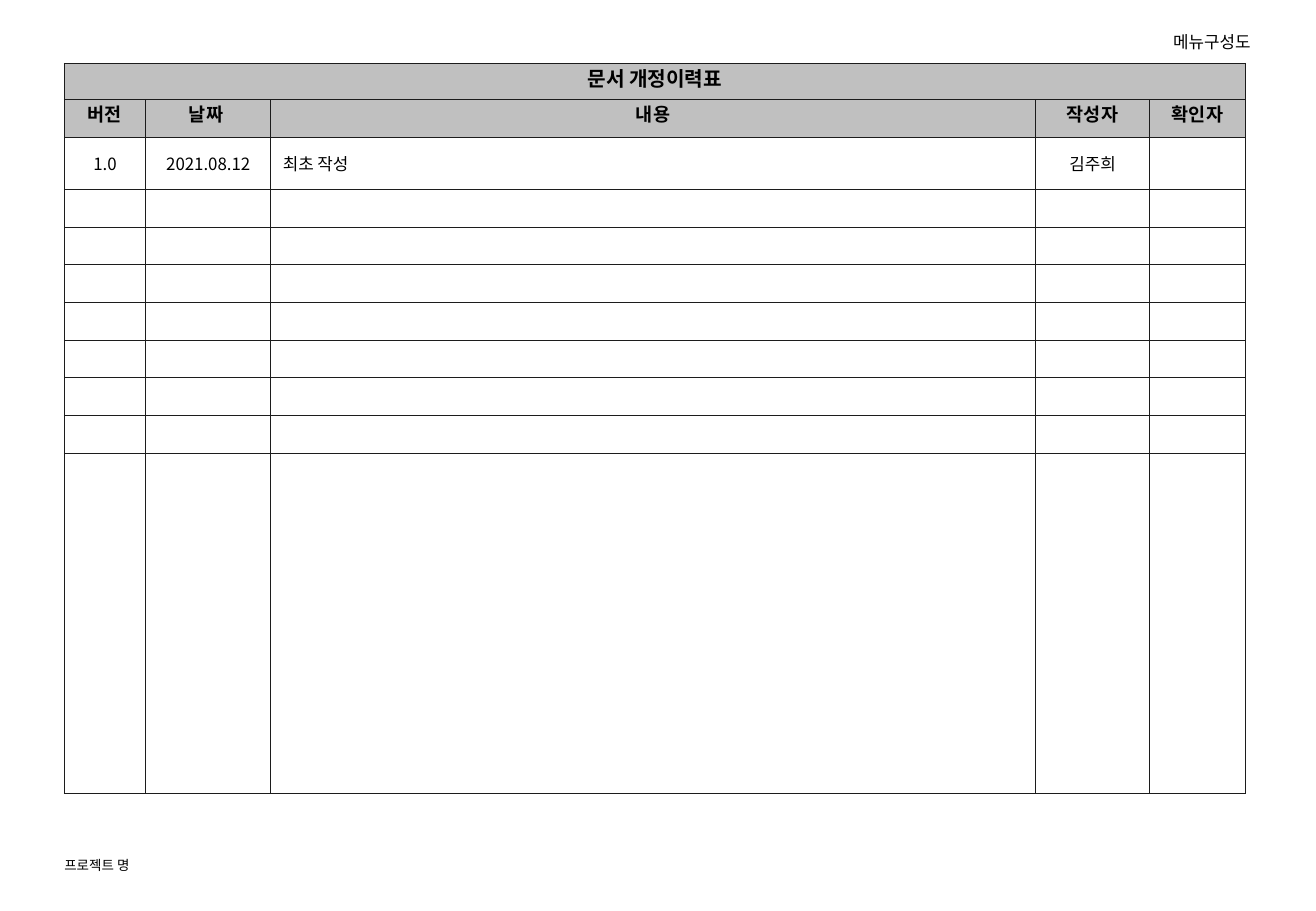
"""Build the document revision history page."""
from lxml.etree import SubElement
from pptx import Presentation
from pptx.dml.color import RGBColor
from pptx.enum.text import MSO_ANCHOR, PP_ALIGN
from pptx.oxml.ns import qn
from pptx.util import Inches, Pt

COLORS = {"text": "000000", "header": "C0C0C0", "border": "1C1C1C"}
FONT = "Noto Sans CJK KR"
LEFT, TOP = 0.53, 0.52
COLUMN_WIDTHS = [0.67, 1.03, 6.3, 0.94, 0.79]
ROW_HEIGHTS = [0.3, 0.31, 0.43] + [0.31] * 7 + [2.8]
CONTENT_COLUMN = 2
ROWS = [
    ["문서 개정이력표"],
    ["버전", "날짜 ", "내용", "작성자", "확인자"],
    ["1.0", "2021.08.12", "최초 작성", "김주희"],
]
ROW_STYLES = [(12, 3, True), (11, 2.8, True)] + [(10, 2.5, False)] * 9


def write(paragraph, text, size, align, bold=False):
    paragraph.alignment = align
    font = paragraph.font
    font.name, font.size, font.bold = FONT, Pt(size), bold
    font.color.rgb = RGBColor.from_string(COLORS["text"])
    properties = paragraph._p.pPr.find(qn("a:defRPr"))
    SubElement(properties, qn("a:ea")).set("typeface", FONT)
    if text:
        paragraph.add_run().text = text


def draw_borders(cell):
    properties = cell._tc.get_or_add_tcPr()
    for position, side in enumerate(("a:lnL", "a:lnR", "a:lnT", "a:lnB")):
        line = SubElement(properties, qn(side), w=str(Pt(0.45)))
        fill = SubElement(line, qn("a:solidFill"))
        SubElement(fill, qn("a:srgbClr"), val=COLORS["border"])
        properties.insert(position, line)


deck = Presentation()
deck.slide_width, deck.slide_height = Inches(10.84), Inches(7.5)
page = deck.slides.add_slide(deck.slide_layouts[6])

frame = page.shapes.add_table(
    len(ROW_HEIGHTS), len(COLUMN_WIDTHS), Inches(LEFT), Inches(TOP),
    Inches(sum(COLUMN_WIDTHS)), Inches(sum(ROW_HEIGHTS)))
history = frame.table
history.horz_banding = False
for column, width in zip(history.columns, COLUMN_WIDTHS):
    column.width = Inches(width)

for index, (row, height) in enumerate(zip(history.rows, ROW_HEIGHTS)):
    row.height = Inches(height)
    size, space, is_header = ROW_STYLES[index]
    texts = ROWS[index] if index < len(ROWS) else []
    for number, cell in enumerate(row.cells):
        cell.margin_top = cell.margin_bottom = 0
        if is_header:
            cell.fill.solid()
            cell.fill.fore_color.rgb = RGBColor.from_string(COLORS["header"])
        else:
            cell.fill.background()
            cell.vertical_anchor = MSO_ANCHOR.MIDDLE
        is_content = number == CONTENT_COLUMN and not is_header
        paragraph = cell.text_frame.paragraphs[0]
        paragraph.space_before = Pt(space)
        write(paragraph, texts[number] if number < len(texts) else "", size,
              PP_ALIGN.LEFT if is_content else PP_ALIGN.CENTER, is_header)
        draw_borders(cell)
history.cell(0, 0).merge(history.cell(0, len(COLUMN_WIDTHS) - 1))

LABELS = [
    ("프로젝트 명", LEFT, 7.06, 3.55, 0.13, 8, PP_ALIGN.LEFT),
    ("메뉴구성도", 7.11, 0.26, 3.19, 0.17, 10, PP_ALIGN.RIGHT),
]
for text, left, top, width, height, size, align in LABELS:
    box = page.shapes.add_textbox(
        Inches(left), Inches(top), Inches(width), Inches(height))
    label = box.text_frame
    label.word_wrap = True
    label.margin_left = label.margin_right = 0
    label.margin_top = label.margin_bottom = 0
    write(label.paragraphs[0], text, size, align)

deck.save("out.pptx")
